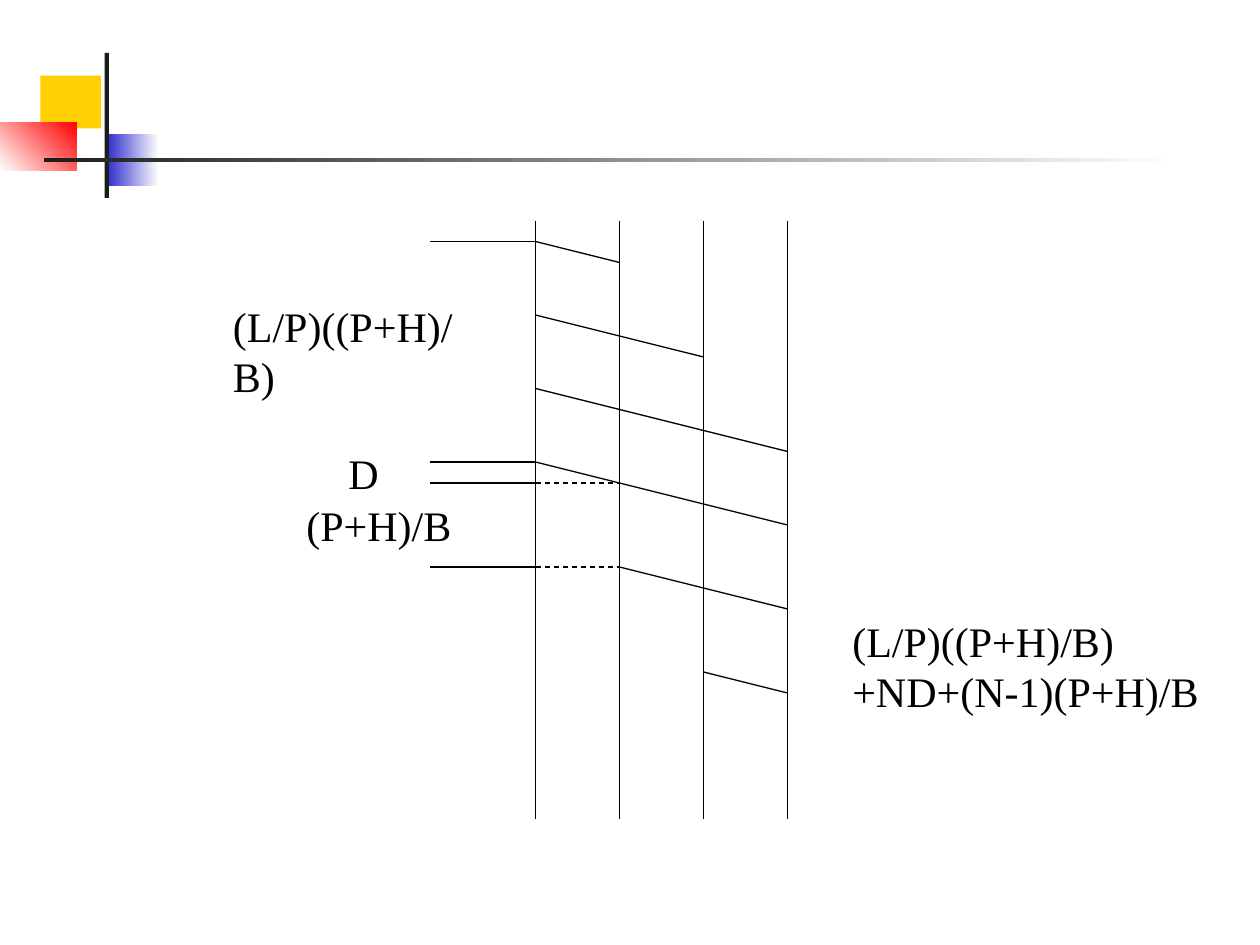
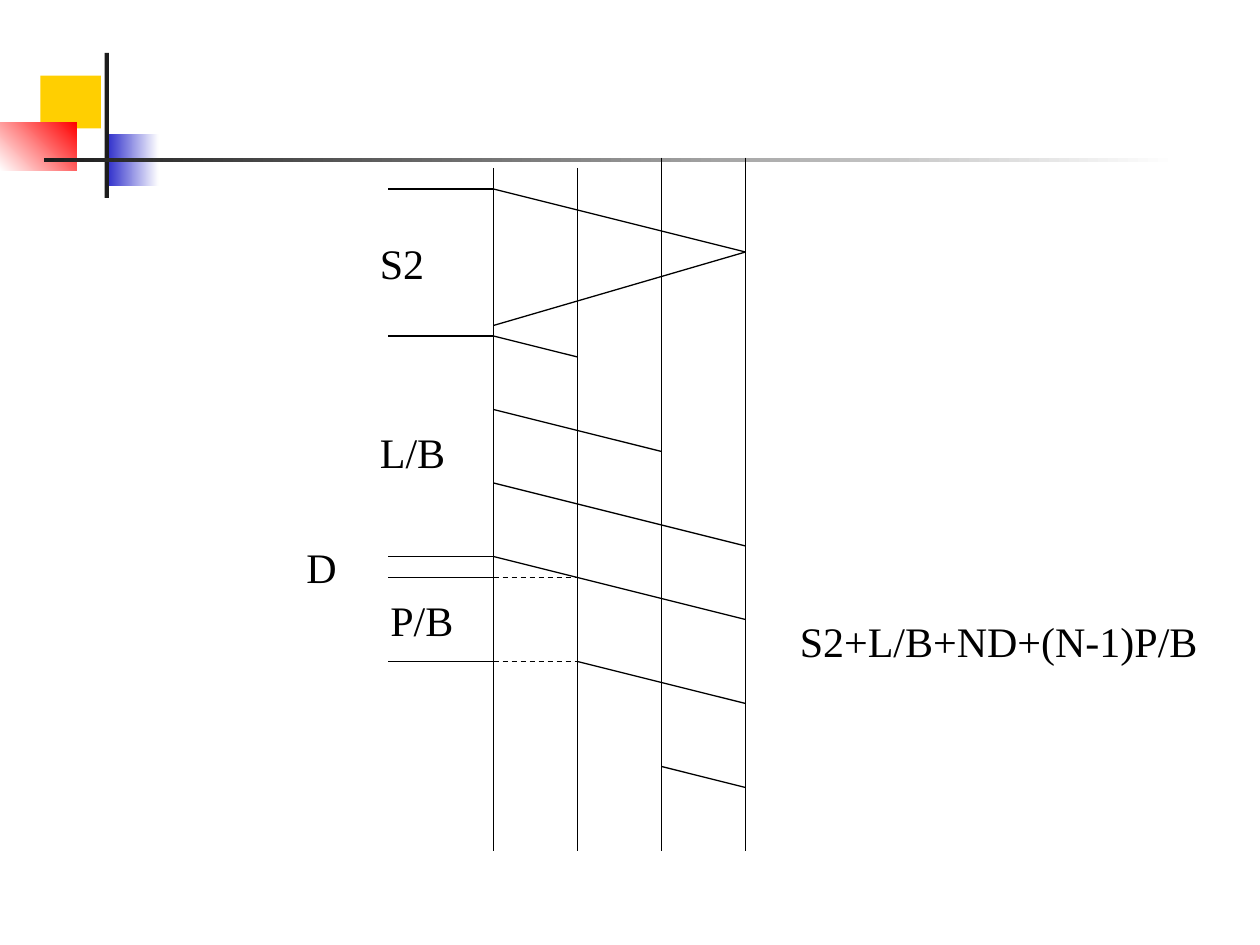
from lxml.etree import SubElement
from pptx import Presentation
from pptx.dml.color import RGBColor
from pptx.enum.dml import MSO_LINE
from pptx.enum.shapes import MSO_CONNECTOR, MSO_SHAPE
from pptx.enum.text import MSO_AUTO_SIZE
from pptx.oxml.ns import qn
from pptx.util import Inches, Pt

INK = {
    "black": "000000",
    "white": "FFFFFF",
    "gold": "FFCF01",
    "blue": "3333CC",
    "red": "FF0000",
    "dark": "1C1C1C",
}
COLS, ROWS = 120, 90
LANE, DROP, TICK = 8, 2, 10
BANDS = [
    ((3.84, 7.2, 5.76, 5.04), ["gold"], 0),
    ((10.32, 12.72, 4.8, 5.04), ["blue", "white"], 0),
    ((0, 11.64, 7.32, 4.56), ["white", "red"], 45),
    ((9.96, 5.04, 0.42, 13.8), ["dark"], 0),
    ((4.2, 15, 108, 0.42), ["dark", "white"], 0),
]
HOPS = [(0, 0, 1), (7, 0, 2), (14, 0, 3), (21, 0, 3), (31, 1, 3), (41, 2, 3)]
TICKS = [0, 21, 23, 31]
DASHES = [23, 31]


class Deck:
    font, size, gap, width = "Times New Roman", Pt(24), Pt(15), Pt(0.75)

    def __init__(self):
        self.prs = Presentation()
        self.prs.slide_width = Inches(10)
        self.prs.slide_height = Inches(7.5)
        self.slide = None

    def hue(self, name):
        return RGBColor.from_string(INK[name])

    def x(self, col):
        return round(self.prs.slide_width * col / COLS)

    def y(self, row):
        return round(self.prs.slide_height * row / ROWS)

    def place(self, box):
        left, top, wide, high = box
        return self.x(left), self.y(top), self.x(wide), self.y(high)

    def page(self):
        self.slide = self.prs.slides.add_slide(self.prs.slide_layouts[6])
        for box, inks, angle in BANDS:
            self.band(box, inks, angle)

    def band(self, box, inks, angle):
        shape = self.slide.shapes.add_shape(MSO_SHAPE.RECTANGLE, *self.place(box))
        shape.shadow.inherit = False
        shape.line.fill.background()
        if len(inks) == 1:
            shape.fill.solid()
            shape.fill.fore_color.rgb = self.hue(inks[0])
            return
        shape.fill.gradient()
        shape.fill.gradient_angle = angle
        for stop, ink in zip(shape.fill.gradient_stops, inks):
            stop.color.rgb = self.hue(ink)

    def line(self, start, end, dash=False):
        rule = self.slide.shapes.add_connector(
            MSO_CONNECTOR.STRAIGHT,
            self.x(start[0]), self.y(start[1]), self.x(end[0]), self.y(end[1]))
        rule.line.color.rgb = self.hue("black")
        rule.line.width = self.width
        if dash:
            rule.line.dash_style = MSO_LINE.DASH
        SubElement(rule._element.spPr, qn("a:effectLst"))

    def label(self, text, *box):
        frame = self.slide.shapes.add_textbox(*self.place(box)).text_frame
        frame.word_wrap = True
        frame.auto_size = MSO_AUTO_SIZE.SHAPE_TO_FIT_TEXT
        para = frame.paragraphs[0]
        para.text = text
        para.space_before = self.gap
        para.font.name = self.font
        para.font.size = self.size
        para.font.color.rgb = self.hue("black")

    def tick(self, left, row):
        self.line((left, row), (left - TICK, row))

    def lanes(self, left, tops, foot):
        for i, top in enumerate(tops):
            col = left + i * LANE
            self.line((col, top), (col, foot))

    def hop(self, left, row, first, last):
        self.line((left + first * LANE, row),
                  (left + last * LANE, row + (last - first) * DROP))

    def flow(self, left, top):
        for row, first, last in HOPS:
            self.hop(left, top + row, first, last)
        for row in TICKS:
            self.tick(left, top + row)
        for row in DASHES:
            self.line((left, top + row), (left + LANE, top + row), dash=True)


def packet(deck):
    left = 51
    deck.page()
    deck.lanes(left, [21] * 4, 78)
    deck.flow(left, 23)
    deck.label("(L/P)((P+H)/B)", 21, 28, 26, 10.8)
    deck.label("D", 32, 42, 9, 6)
    deck.label("(P+H)/B", 28, 47, 19, 6)
    deck.label("(L/P)((P+H)/B)+ND+(N-1)(P+H)/B", 80, 58, 36, 10.8)


def circuit(deck):
    left, setup = 47, 18
    deck.page()
    deck.lanes(left, [16, 16, 15, 15], 81)
    deck.flow(left, 32)
    deck.hop(left, setup, 0, 3)
    deck.line((left + 3 * LANE, setup + 3 * DROP), (left, 31))
    deck.tick(left, setup)
    deck.label("S2", 35, 22, 9, 6)
    deck.label("L/B", 35, 40, 9, 6)
    deck.label("D", 28, 51, 9, 6)
    deck.label("P/B", 36, 56, 9, 6)
    deck.label("S2+L/B+ND+(N-1)P/B", 75, 58, 43, 6)


def main():
    deck = Deck()
    packet(deck)
    circuit(deck)
    deck.prs.save("out.pptx")


if __name__ == "__main__":
    main()
